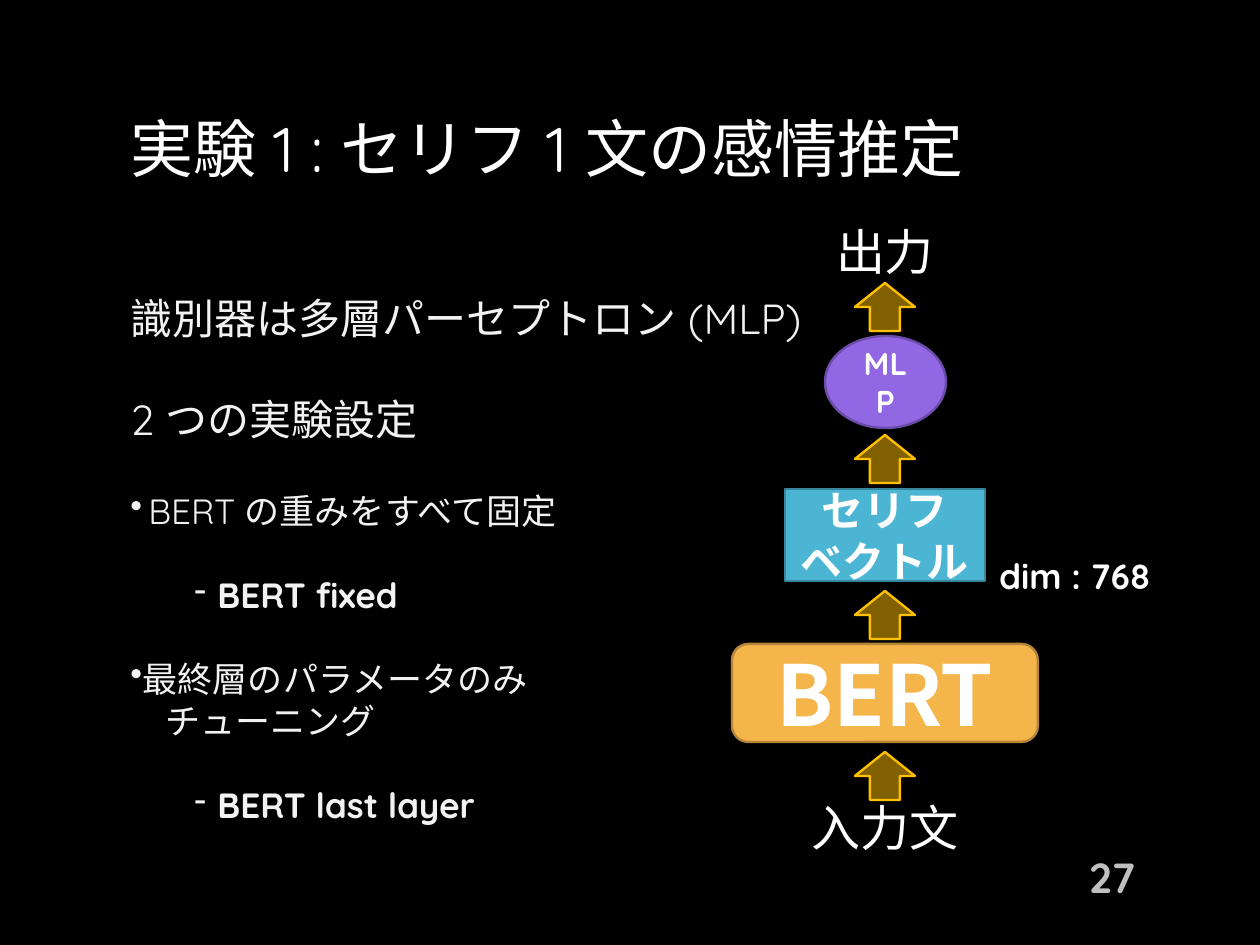
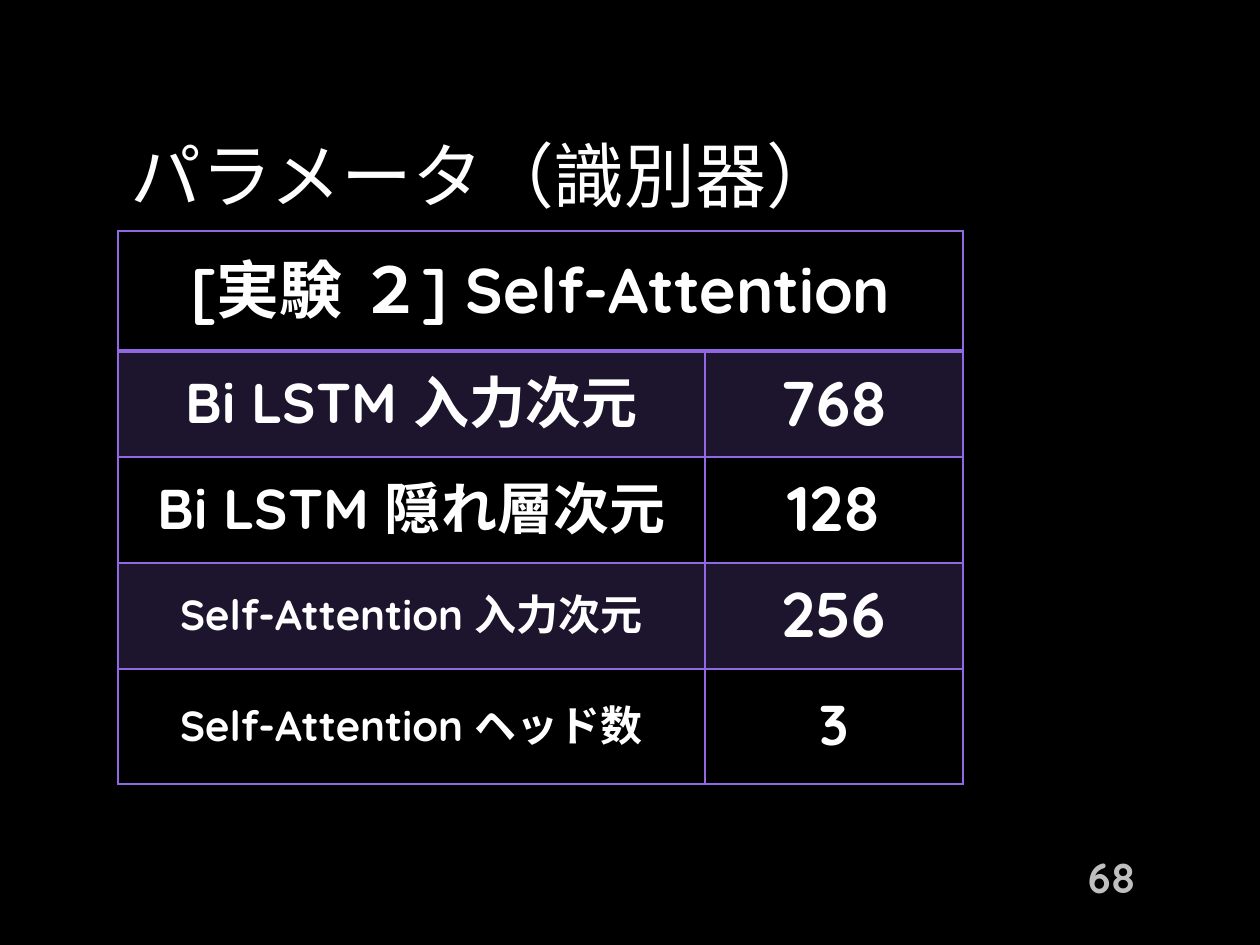
import pptx
import pptx.dml.color
import pptx.enum.shapes
import pptx.enum.text
import pptx.oxml
import pptx.oxml.ns
import pptx.util

PX = 914400 // 126
FONT = "Quicksand"
WHITE, BLACK, PALE, GRAY = "FFFFFF", "000000", "F2F2F2", "BFBFBF"
PURPLE, GOLD = "9167E3", "FFC000"
SHAPE = pptx.enum.shapes.MSO_SHAPE
ALIGN = pptx.enum.text.PP_ALIGN
ANCHOR = pptx.enum.text.MSO_ANCHOR
MID = 885  # centre line of the model diagram


def px(*nums):
    return [pptx.util.Emu(n * PX) for n in nums]


def color(code):
    return pptx.dml.color.RGBColor.from_string(code)


def node(xml):
    return pptx.oxml.parse_xml(xml.replace(">", f" {pptx.oxml.ns.nsdecls('a')}>", 1)
                               if "/>" not in xml.split(">")[0] + ">"
                               else xml.replace("/>", f" {pptx.oxml.ns.nsdecls('a')}/>", 1))


def paint(fill, code, alpha=100):
    """Fill with a colour at an opacity in percent."""
    fill.solid()
    fill.fore_color.rgb = color(code)
    if alpha < 100:
        tone = fill._xPr.find(".//" + pptx.oxml.ns.qn("a:srgbClr"))
        tone.append(node(f'<a:alpha val="{alpha * 1000}"/>'))


def style(para, size, code=WHITE, bold=False, align=ALIGN.LEFT, face=FONT):
    para.alignment = align
    para.line_spacing = pptx.util.Pt(size * 1.2)
    font = para.font
    font.size, font.bold, font.name = pptx.util.Pt(size), bold, face
    font.color.rgb = color(code)
    props = para._p.pPr.find(pptx.oxml.ns.qn("a:defRPr"))
    props.append(node(f'<a:ea typeface="{face}"/>'))


def write(frame, text, size, **looks):
    """Put each line of the text in a paragraph of one style."""
    frame.word_wrap = True
    frame.text = text
    for para in frame.paragraphs:
        style(para, size, **looks)


def label(slide, box, text, size, anchor=ANCHOR.TOP, **looks):
    frame = slide.shapes.add_textbox(*px(*box)).text_frame
    frame.vertical_anchor = anchor
    write(frame, text, size, **looks)


def block(slide, kind, top, wide, high, fill, line, alpha=100):
    """Add a shape centred on the diagram."""
    shape = slide.shapes.add_shape(kind, *px(MID - wide // 2, top, wide, high))
    shape.shadow.inherit = False
    paint(shape.fill, fill, alpha)
    shape.line.color.rgb = color(line)
    shape.line.width = pptx.util.Pt(1.35)
    shape.text_frame.vertical_anchor = ANCHOR.MIDDLE
    return shape.text_frame


def start(deck, title, top, size, page):
    """Add a slide with its ground, title and page number."""
    slide = deck.slides.add_slide(deck.slide_layouts[6])
    paint(slide.background.fill, BLACK)
    label(slide, (118, top, 1023, 113), title, size, ANCHOR.MIDDLE)
    label(slide, (984, 852, 164, 50), page, 24, ANCHOR.MIDDLE,
          code=GRAY, bold=True, align=ALIGN.RIGHT)
    return slide


def notes(slide, box, rows):
    """Write rows of text, size, gap before, bullet, margin, hang and weight."""
    frame = slide.shapes.add_textbox(*px(*box)).text_frame
    frame.word_wrap = True
    for num, (text, size, gap, mark, left, hang, bold) in enumerate(rows):
        para = frame.add_paragraph() if num else frame.paragraphs[0]
        para.text = text
        props = para._p.get_or_add_pPr()
        props.set("marL", str(left * PX))
        props.set("indent", str(-hang * PX))
        if mark:
            props.append(node(f'<a:buChar char="{mark}"/>'))
        style(para, size, code=PALE, bold=bold)
        para.space_before = pptx.util.Pt(gap)


def model(slide):
    mid = {"align": ALIGN.CENTER}
    label(slide, (MID - 69, 215, 138, 72), "出力", 28, **mid)
    for top in (283, 435, 591, 752):
        block(slide, SHAPE.UP_ARROW, top, 60, 48, GOLD, GOLD, 50)
    parts = [
        (SHAPE.OVAL, 336, 121, 92, PURPLE, "6B4CA8", "MLP", 18, FONT),
        (SHAPE.RECTANGLE, 489, 200, 92, "4CB5D3", "38869C",
         "セリフ\nベクトル", 24, FONT),
        (SHAPE.ROUNDED_RECTANGLE, 644, 306, 98, "F4B54B", "B58637",
         "BERT", 48, "Noto Sans CJK JP"),
    ]
    for kind, top, wide, high, fill, line, text, size, face in parts:
        frame = block(slide, kind, top, wide, high, fill, line)
        write(frame, text, size, bold=True, face=face, **mid)
    label(slide, (985, 548, 180, 55), "dim : 768", 20, bold=True, **mid)
    label(slide, (MID - 139, 791, 278, 60), "入力文", 28, **mid)


def edge(cell, sides, width):
    """Draw the named sides (L, R, T, B) of a cell."""
    props = cell._tc.get_or_add_tcPr()
    for spot, side in enumerate(sides):
        props.insert(spot, node(
            f'<a:ln{side} w="{width[side] * 12700}"><a:solidFill>'
            f'<a:srgbClr val="{PURPLE}"/></a:solidFill></a:ln{side}>'))


def grid(slide, left, top, cols, rows, cells):
    """Add a table whose rows hold texts with their sizes; row 0 is merged."""
    table = slide.shapes.add_table(
        len(rows), len(cols), *px(left, top, sum(cols), sum(rows))).table
    table.first_row = table.horz_banding = False
    for col, wide in zip(table.columns, px(*cols)):
        col.width = wide
    for row, high in zip(table.rows, px(*rows)):
        row.height = high
    table.cell(0, 0).merge(table.cell(0, len(cols) - 1))
    for r in range(len(rows)):
        for c in range(len(cols)):
            cell = table.cell(r, c)
            cell.vertical_anchor = ANCHOR.MIDDLE
            cell.margin_left = cell.margin_right = px(9)[0]
            cell.margin_top = cell.margin_bottom = px(5)[0]
            if r % 2:
                paint(cell.fill, PURPLE, 20)
            else:
                cell.fill.background()
            edge(cell, "LRTB", {"L": 1, "R": 1, "T": 2 if r == 1 else 1,
                                "B": 1 if r else 2})
            if c < len(cells[r]):
                text, size = cells[r][c]
                write(cell.text_frame, text, size, bold=True,
                      align=ALIGN.CENTER)


def main():
    deck = pptx.Presentation()
    deck.slide_width, deck.slide_height = px(1260, 945)

    slide = start(deck, "実験 1 : セリフ 1 文の感情推定", 91, 36, "27")
    model(slide)
    notes(slide, (118, 286, 897, 585), [
        ("識別器は多層パーセプトロン (MLP)", 24, 0, "", 0, 0, False),
        ("2 つの実験設定", 24, 29, "", 0, 0, False),
        ("BERT の重みをすべて固定", 20, 26, "•", 18, 18, False),
        ("BERT fixed", 20, 24, "-", 87, 23, True),
        ("最終層のパラメータのみ", 20, 24, "•", 12, 12, False),
        ("チューニング", 20, 0, "", 35, 0, False),
        ("BERT last layer", 20, 24, "-", 87, 23, True),
    ])

    slide = start(deck, "パラメータ（識別器）", 118, 40.5, "68")
    grid(slide, 118, 231, (587, 258), (120, 106, 106, 106, 115), [
        [("[実験 ２] Self-Attention", 36)],
        [("Bi LSTM 入力次元", 32), ("768", 36)],
        [("Bi LSTM 隠れ層次元", 32), ("128", 36)],
        [("Self-Attention 入力次元", 24), ("256", 36)],
        [("Self-Attention ヘッド数", 24), ("3", 32)],
    ])
    deck.save("out.pptx")


if __name__ == "__main__":
    main()
